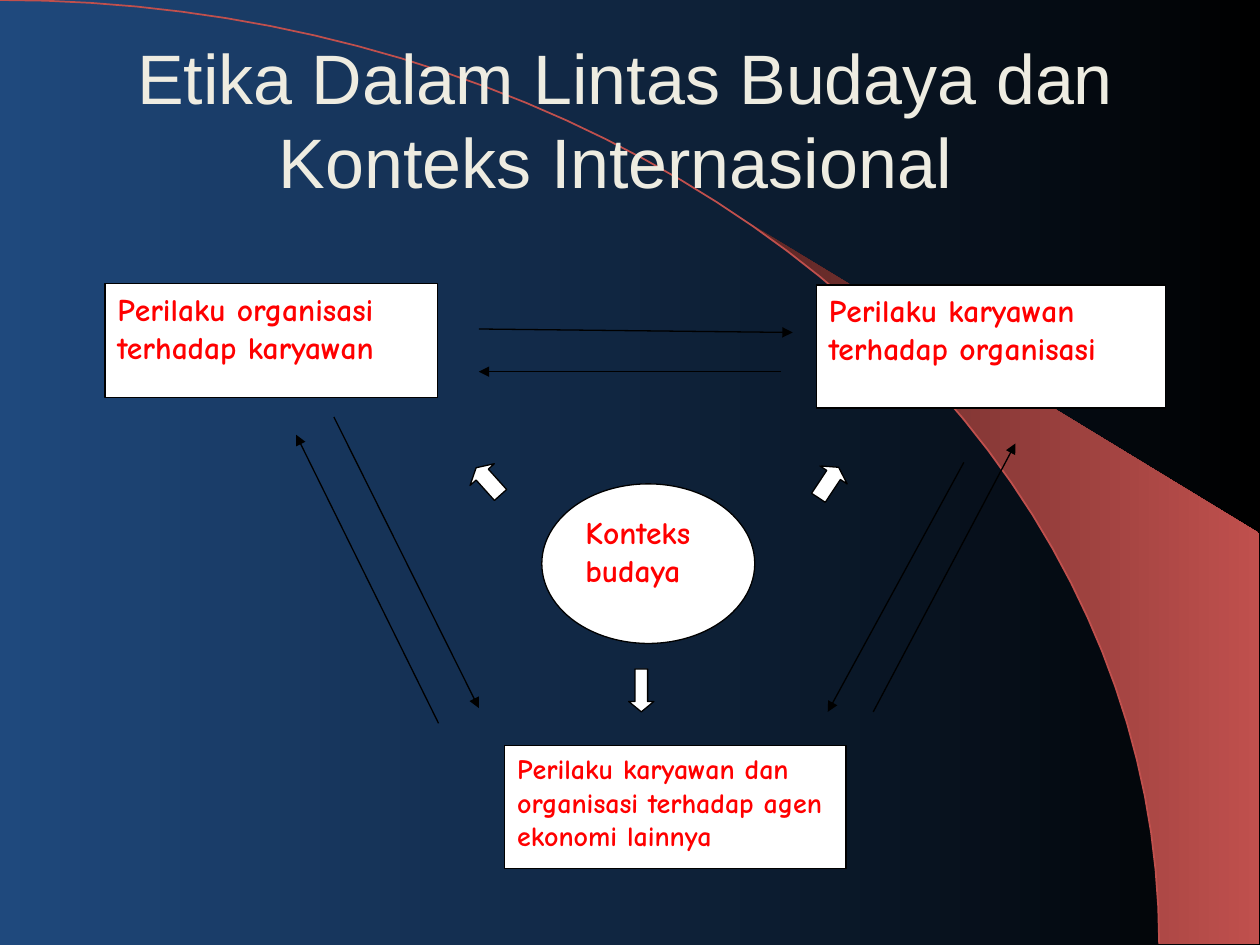
import math

import pptx
import pptx.dml.color
import pptx.enum.shapes
import pptx.enum.text
import pptx.oxml
import pptx.oxml.ns
import pptx.util

Pt = pptx.util.Pt
RGBColor = pptx.dml.color.RGBColor
SHAPE = pptx.enum.shapes.MSO_SHAPE
ANCHOR = pptx.enum.text.MSO_ANCHOR
ALIGN = pptx.enum.text.PP_ALIGN

NAVY = RGBColor(0x1F, 0x49, 0x7D)
BLACK = RGBColor(0, 0, 0)
WHITE = RGBColor(255, 255, 255)
RED = RGBColor(255, 0, 0)
CORAL = RGBColor(0xC0, 0x50, 0x4D)
MAROON = RGBColor(0x59, 0x25, 0x24)
CREAM = RGBColor(0xEE, 0xEC, 0xE1)

ARC_WIDTH, ARC_HEIGHT = 662.4, 539.3
WEDGE_ANGLE = 39.8
RIGHT_EDGE = 719.3

TITLE_FONT = {"name": "Arial", "size": Pt(40), "bold": False}
LABEL_FONT = {"name": "Comic Neue", "size": Pt(18), "bold": True}
SMALL_LABEL_FONT = {**LABEL_FONT, "size": Pt(16)}

LABELS = [
    (SHAPE.RECTANGLE, (466.6, 162.9, 199.4, 70.3), "Perilaku karyawan terhadap organisasi", LABEL_FONT),
    (SHAPE.RECTANGLE, (60, 162, 190, 65), "Perilaku organisasi terhadap karyawan", LABEL_FONT),
    (SHAPE.RECTANGLE, (288.5, 426, 194.9, 70.3),
     "Perilaku karyawan dan organisasi terhadap agen ekonomi lainnya", SMALL_LABEL_FONT),
    (SHAPE.OVAL, (309.6, 276.5, 121.7, 91.2), "Konteks budaya", LABEL_FONT),
]
ARROW_LINES = [
    ((273.6, 188), (453, 190)),
    ((190.8, 238.3), (273.6, 404.6)),
    ((550.8, 264.2), (473, 406.8)),
    ((446.4, 212.4), (273.6, 212.4)),
    ((250.6, 413.3), (169.2, 248.4)),
    ((499, 406.8), (580.3, 253.4)),
]
BLOCK_ARROWS = [
    (SHAPE.RIGHT_ARROW, (463, 266.4, 20.9, 18.7), 303.5, 0.28),
    (SHAPE.RIGHT_ARROW, (268.6, 265.7, 20.9, 18.7), 228.1, 0.28),
    (SHAPE.DOWN_ARROW, (359.3, 382.3, 14.4, 24.5), 0, 0.41),
]


def set_values(target, values):
    for name, value in values.items():
        setattr(target, name, value)


def set_gradient(fill, colours):
    fill.gradient()
    fill.gradient_angle = 0
    for stop, colour in zip(fill.gradient_stops, colours):
        stop.color.rgb = colour


def set_line(line, colour, width):
    line.color.rgb = colour
    line.width = Pt(width)


def set_text(shape, text, font, colour, anchor, alignment):
    frame = shape.text_frame
    set_values(frame, {"word_wrap": True, "vertical_anchor": anchor})
    paragraph = frame.paragraphs[0]
    paragraph.alignment = alignment
    run = paragraph.add_run()
    run.text = text
    set_values(run.font, font)
    run.font.color.rgb = colour


def arc_points(start_angle):
    steps = 40
    angles = [math.radians(start_angle + (90 - start_angle) * step / steps)
              for step in range(steps + 1)]
    return [(ARC_WIDTH * math.sin(angle), ARC_HEIGHT * (1 - math.cos(angle)))
            for angle in angles]


def add_outline(slide, points, close):
    first, *others = [(Pt(x), Pt(y)) for x, y in points]
    builder = slide.shapes.build_freeform(*first)
    builder.add_line_segments(others, close=close)
    shape = builder.convert_to_shape()
    shape.shadow.inherit = False
    return shape


def add_backdrop(slide):
    set_gradient(slide.background.fill, (NAVY, BLACK))
    corners = [(RIGHT_EDGE, ARC_HEIGHT), (RIGHT_EDGE, 304.6)]
    wedge = add_outline(slide, arc_points(WEDGE_ANGLE) + corners, True)
    set_gradient(wedge.fill, (MAROON, CORAL))
    wedge.line.fill.background()
    arc = add_outline(slide, arc_points(0), False)
    arc.fill.background()
    set_line(arc.line, CORAL, 1)


def add_title(slide, text):
    title = slide.shapes.title
    set_values(title, {"left": Pt(36), "top": Pt(21.6), "width": Pt(642.2), "height": Pt(92.2)})
    set_text(title, text, TITLE_FONT, CREAM, ANCHOR.MIDDLE, ALIGN.CENTER)
    title.text_frame.auto_size = pptx.enum.text.MSO_AUTO_SIZE.NONE
    tree = slide.shapes.element
    tree.remove(title.element)
    tree.append(title.element)


def add_white_shape(slide, kind, box):
    shape = slide.shapes.add_shape(kind, *map(Pt, box))
    shape.shadow.inherit = False
    shape.fill.solid()
    shape.fill.fore_color.rgb = WHITE
    set_line(shape.line, BLACK, 0.75)
    return shape


def add_label(slide, kind, box, text, font):
    shape = add_white_shape(slide, kind, box)
    set_text(shape, text, font, RED, ANCHOR.TOP, ALIGN.LEFT)


def add_block_arrow(slide, kind, box, rotation, head_length):
    shape = add_white_shape(slide, kind, box)
    shape.rotation = rotation
    shape.adjustments[1] = head_length


def add_arrow_line(slide, start, end):
    straight = pptx.enum.shapes.MSO_CONNECTOR.STRAIGHT
    connector = slide.shapes.add_connector(straight, *map(Pt, start + end))
    set_line(connector.line, BLACK, 0.75)
    namespace = pptx.oxml.ns.nsdecls("a")
    outline = connector.line._get_or_add_ln()
    outline.append(pptx.oxml.parse_xml(f'<a:tailEnd {namespace} type="triangle"/>'))
    properties = outline.getparent()
    properties.append(pptx.oxml.parse_xml(f"<a:effectLst {namespace}/>"))


def main():
    presentation = pptx.Presentation()
    set_values(presentation, {"slide_width": Pt(720), "slide_height": Pt(540)})
    slide = presentation.slides.add_slide(presentation.slide_layouts[5])
    add_backdrop(slide)
    add_title(slide, "Etika Dalam Lintas Budaya dan Konteks Internasional ")
    for label in LABELS:
        add_label(slide, *label)
    for start, end in ARROW_LINES:
        add_arrow_line(slide, start, end)
    for arrow in BLOCK_ARROWS:
        add_block_arrow(slide, *arrow)
    presentation.save("out.pptx")


if __name__ == "__main__":
    main()
